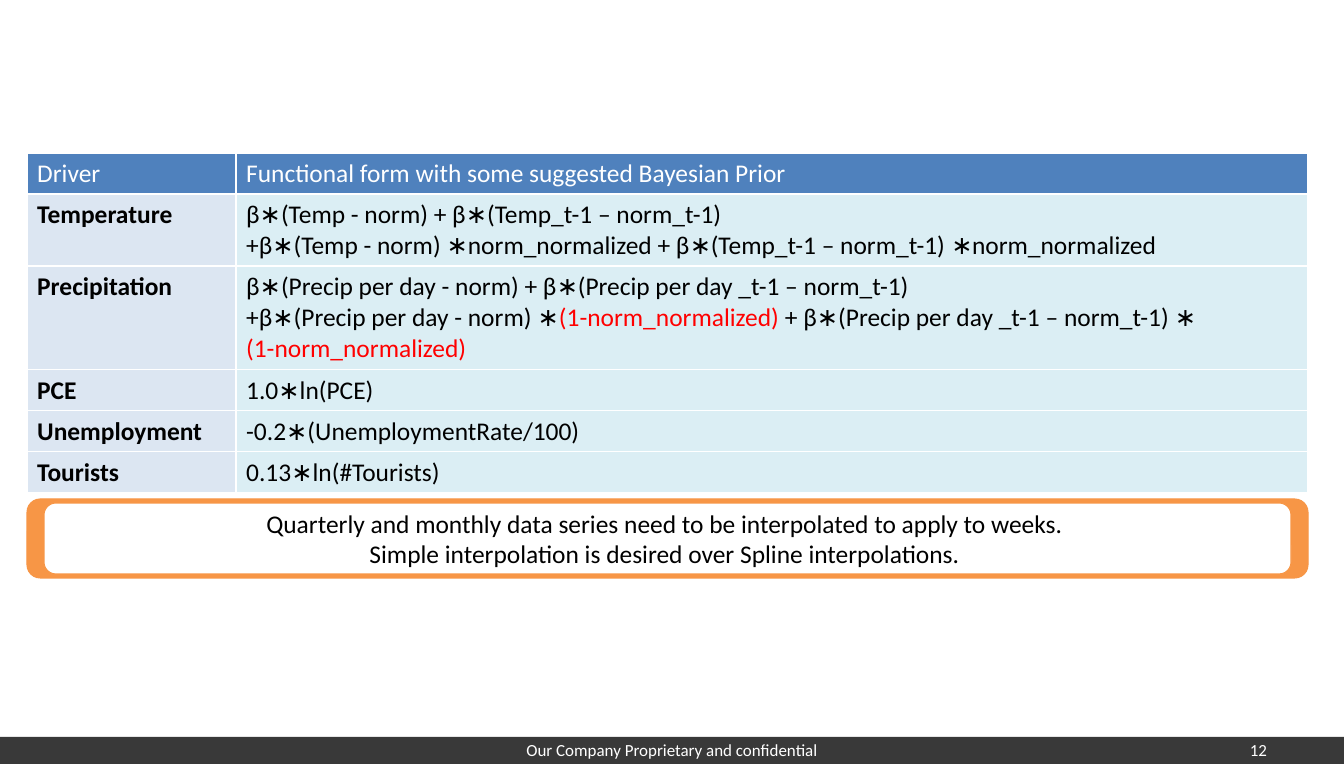
from pptx import Presentation
from pptx.dml.color import RGBColor
from pptx.enum.shapes import MSO_SHAPE
from pptx.enum.text import MSO_ANCHOR, PP_ALIGN
from pptx.oxml import parse_xml
from pptx.oxml.ns import nsdecls
from pptx.util import Pt

PX = 8982  # EMU in one px
COLORS = {
    "white": "FFFFFF", "black": "000000", "red": "FF0000", "bar": "393939",
    "head": "4F81BD", "driver": "DCE6F2", "form": "DBEEF4", "orange": "F79646",
}


def paint(fill, color):
    fill.solid()
    fill.fore_color.rgb = RGBColor.from_string(COLORS[color])


def write(para, runs, size=18, bold=False, align=PP_ALIGN.LEFT):
    para.alignment = align
    for text, color in runs:
        for row, part in enumerate(text.split("\n")):
            if row:
                para.add_line_break()
            if not part:
                continue
            run = para.add_run()
            run.text = part
            look = {"name": "Calibri", "size": Pt(size), "bold": bold}
            for key, value in look.items():
                setattr(run.font, key, value)
            run.font.color.rgb = RGBColor.from_string(COLORS[color])


deck = Presentation()
deck.slide_width, deck.slide_height = 1344 * PX, 764 * PX
slide = deck.slides.add_slide(deck.slide_layouts[6])
shapes = slide.shapes

# Footer bar and rounded note frame
panels = [
    (MSO_SHAPE.RECTANGLE, (0, 737, 1344, 27), "bar", None),
    (MSO_SHAPE.ROUNDED_RECTANGLE, (27, 499, 1281, 79), "orange", "orange"),
    (MSO_SHAPE.ROUNDED_RECTANGLE, (44, 503, 1247, 71), "white", "orange"),
]
for kind, box, color, edge in panels:
    panel = shapes.add_shape(kind, *[n * PX for n in box])
    panel.shadow.inherit = False
    paint(panel.fill, color)
    if edge:
        paint(panel.line.fill, edge)
        panel.line.width = Pt(0.75)
    else:
        panel.line.fill.background()

# Note text, in the inner panel
note = panel.text_frame
note.word_wrap = True
note.vertical_anchor = MSO_ANCHOR.MIDDLE
write(note.paragraphs[0], [(
    "Quarterly and monthly data series need to be interpolated to apply to weeks. \n"
    "Simple interpolation is desired over Spline interpolations. ", "black")],
    align=PP_ALIGN.CENTER)

# Footer text and slide number
footers = [
    ("Our Company Proprietary and confidential", (459, 735, 426, 41), PP_ALIGN.CENTER),
    ("12", (963, 735, 314, 41), PP_ALIGN.RIGHT),
]
for text, box, align in footers:
    frame = shapes.add_textbox(*[n * PX for n in box]).text_frame
    frame.word_wrap = True
    write(frame.paragraphs[0], [(text, "white")], size=12, align=align)

# Driver table: name, row height, lines made of coloured runs
drivers = [
    ("Driver", 41, [[("Functional form with some suggested Bayesian Prior", "white")]]),
    ("Temperature", 72, [
        [("β∗(Temp - norm) + β∗(Temp_t-1 – norm_t-1)", "black")],
        [("+β∗(Temp - norm) ∗norm_normalized + "
          "β∗(Temp_t-1 – norm_t-1) ∗norm_normalized", "black")],
    ]),
    ("Precipitation", 104, [
        [("β∗(Precip per day - norm) + β∗(Precip per day _t-1 – norm_t-1)", "black")],
        [("+β∗(Precip per day - norm) ∗", "black"),
         ("(1-norm_normalized) ", "red"),
         ("+ β∗(Precip per day _t-1 – norm_t-1) ∗\n", "black"),
         ("(1-norm_normalized)", "red")],
    ]),
    ("PCE", 41, [[("1.0∗ln(PCE)", "black")]]),
    ("Unemployment", 41, [[("-0.2∗(UnemploymentRate/100)", "black")]]),
    ("Tourists", 41, [[("0.13∗ln(#Tourists)", "black")]]),
]
high = sum(row[1] for row in drivers)
table = shapes.add_table(
    len(drivers), 2, 27 * PX, 153 * PX, 1281 * PX, high * PX).table
for col, wide in zip(table.columns, (209, 1072)):
    col.width = wide * PX

for r, (name, tall, lines) in enumerate(drivers):
    table.rows[r].height = tall * PX
    label = [[(name, "black" if r else "white")]]
    for c, paras in enumerate((label, lines)):
        cell = table.cell(r, c)
        # White cell borders
        props = cell._tc.get_or_add_tcPr()
        for side in "LRTB":
            props.append(parse_xml(
                f'<a:ln{side} {nsdecls("a")} w="12700"><a:solidFill>'
                f'<a:srgbClr val="{COLORS["white"]}"/></a:solidFill></a:ln{side}>'))
        paint(cell.fill, ("driver", "form")[c] if r else "head")
        # Cell text
        frame = cell.text_frame
        for p, runs in enumerate(paras):
            para = frame.add_paragraph() if p else frame.paragraphs[0]
            write(para, runs, bold=r > 0 and c == 0)

deck.save("out.pptx")
